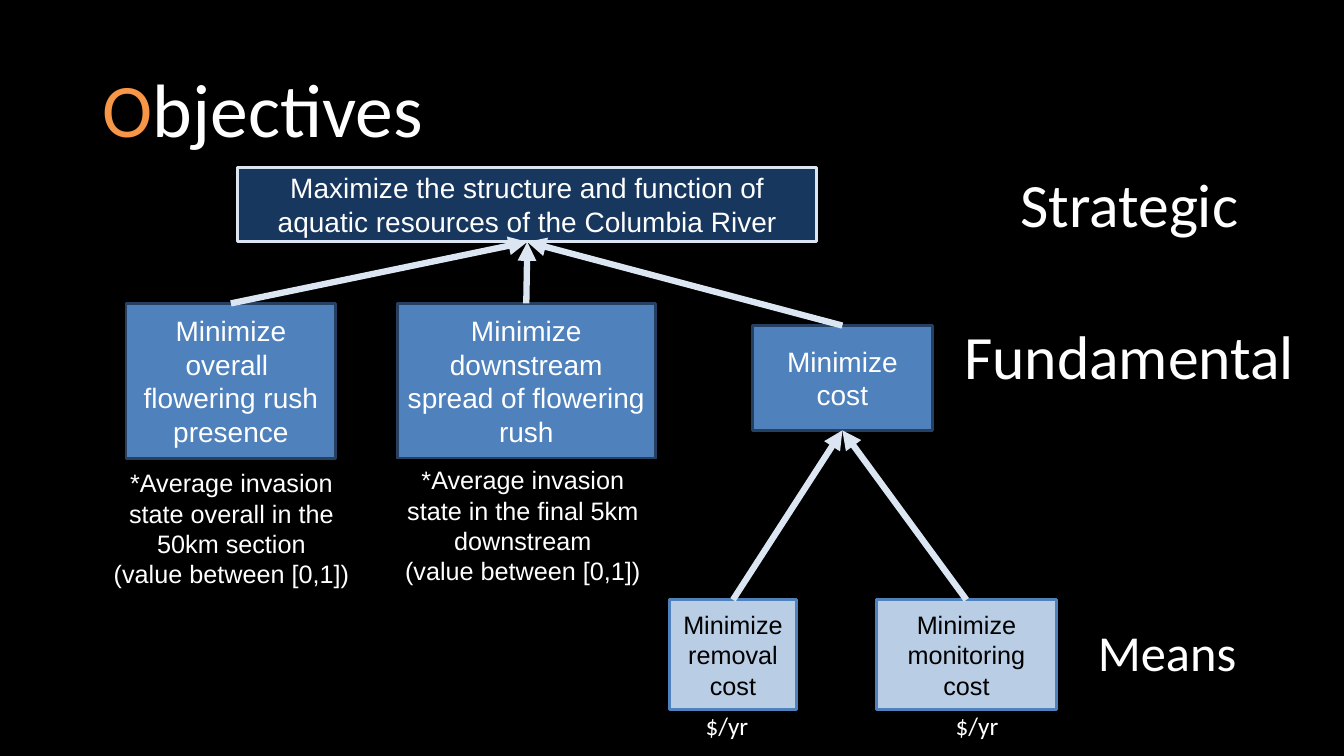
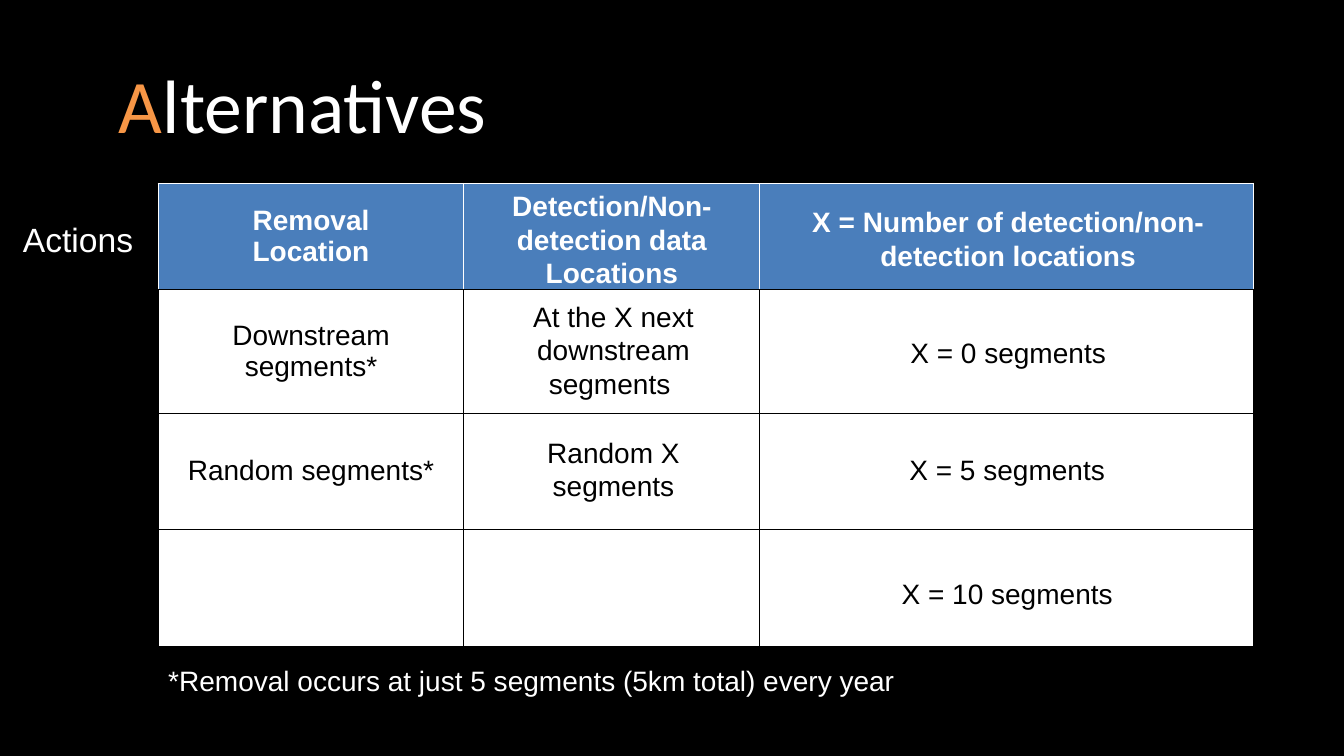
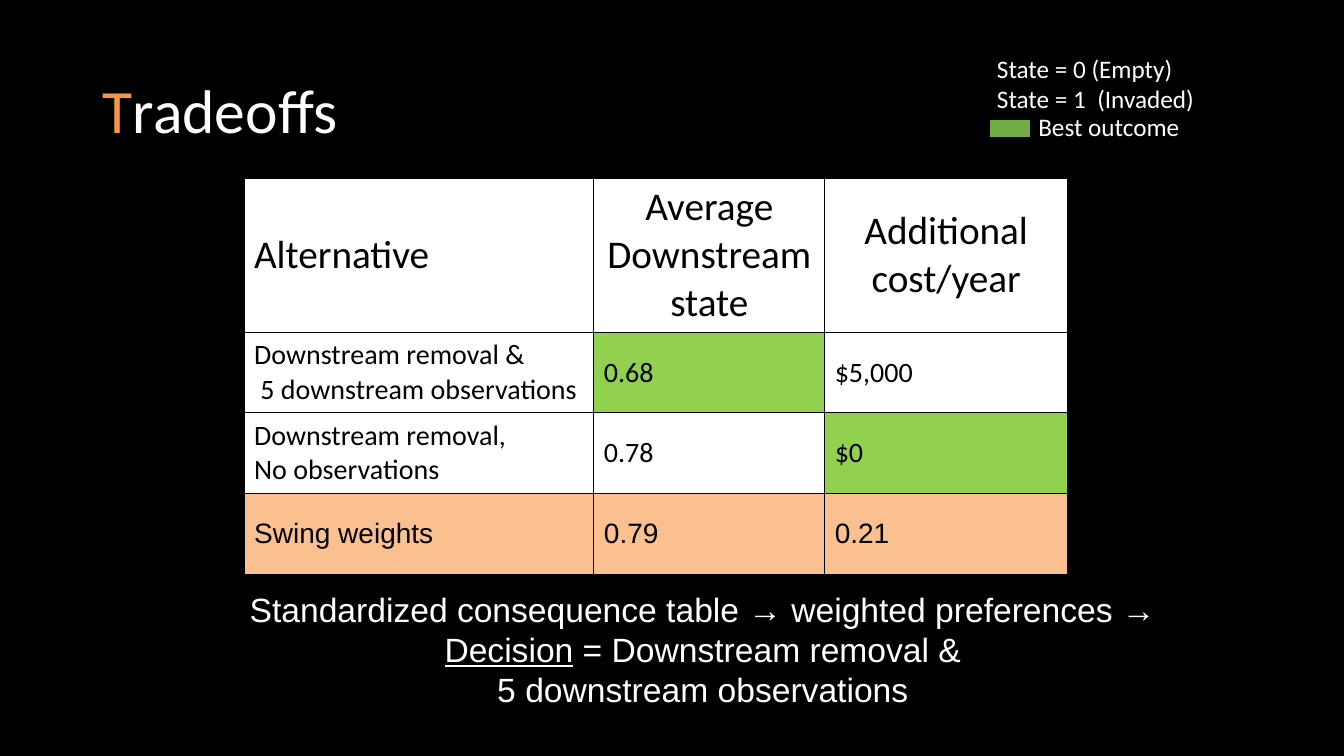
"""Builds three slides on objectives, alternatives and tradeoffs for managing an invasive river plant."""
from lxml import etree
from pptx import Presentation
from pptx.dml.color import RGBColor
from pptx.enum.shapes import MSO_CONNECTOR, MSO_SHAPE
from pptx.enum.text import MSO_ANCHOR, PP_ALIGN
from pptx.oxml.ns import qn
from pptx.util import Inches, Pt

LEFT, CENTER = PP_ALIGN.LEFT, PP_ALIGN.CENTER
TOP, MIDDLE = MSO_ANCHOR.TOP, MSO_ANCHOR.MIDDLE
RECTANGLE, STRAIGHT = MSO_SHAPE.RECTANGLE, MSO_CONNECTOR.STRAIGHT
TITLE_ONLY = 5
TOP_SITE, BOTTOM_SITE = 0, 2

BLACK, WHITE, ORANGE = "000000", "FFFFFF", "F79646"
BLUE, DARK_BLUE, NAVY = "4F81BD", "254061", "17375E"
PALE_BLUE, ICE, HEADER_BLUE = "B9CDE5", "DCE6F2", "4A7EBB"
BEST_GREEN, LEGEND_GREEN, PEACH = "92D050", "70AD47", "FAC090"

STRATEGIC = dict(fill=NAVY, line=ICE, size=20)
FUNDAMENTAL = dict(fill=BLUE, line=DARK_BLUE, size=20)
MEANS = dict(fill=PALE_BLUE, line=BLUE, size=18, color=BLACK)
MEASURE = dict(fill=BLACK, line=BLACK, size=18)

OBJECTIVES = {
    "resources": ((2.36, 1.66, 5.74, 0.74), STRATEGIC,
                  ["Maximize the structure and function of aquatic resources of the Columbia River"]),
    "presence": ((1.25, 3.01, 2.08, 1.54), FUNDAMENTAL, ["Minimize overall  flowering rush presence"]),
    "spread": ((3.94, 3.01, 2.56, 1.54), FUNDAMENTAL, ["Minimize downstream spread of flowering rush"]),
    "cost": ((7.46, 3.23, 1.79, 1.04), FUNDAMENTAL, ["Minimize cost"]),
    "removal": ((6.64, 5.95, 1.26, 1.09), MEANS, ["Minimize removal cost"]),
    "monitoring": ((8.69, 5.95, 1.79, 1.09), MEANS, ["Minimize monitoring cost"]),
    "presence measure": ((0.95, 4.6, 2.69, 1.28), MEASURE,
                         ["*Average invasion state overall in the 50km section", "(value between [0,1])"]),
    "spread measure": ((3.84, 4.57, 2.69, 1.28), MEASURE,
                       ["*Average invasion state in the final 5km downstream", "(value between [0,1])"]),
}
SUPPORTS = [("presence", "resources"), ("spread", "resources"), ("cost", "resources"),
            ("removal", "cost"), ("monitoring", "cost")]
LEVELS = [("Strategic ", (9.76, 1.7, 3.02, 0.72), 44),
          ("Fundamental ", (9.38, 3.21, 3.78, 0.72), 44),
          ("Means", (10.72, 6.14, 1.71, 0.72), 36)]
UNIT_LEFTS = [6.9, 9.38]

ACTION_COLUMNS = [3.03, 2.93, 4.9]
ACTION_ROWS = [
    (1.05, [["Removal", "Location"], [], []]),
    (1.23, [["Downstream segments*"], [], []]),
    (1.15, [["Random segments*"], [], []]),
    (1.16, [[], [], []]),
]
HEADER_TEXT = dict(size=20, bold=True, color=WHITE, align=CENTER)
BODY_TEXT = dict(size=20, color=BLACK, align=CENTER)
ACTION_LABELS = [
    ("Detection/Non-detection data Locations", (4.57, 1.82, 3, 1.11), HEADER_TEXT),
    ("X = Number of detection/non-detection locations", (7.92, 1.98, 4.16, 0.77), HEADER_TEXT),
    ("At the X next downstream segments ", (4.93, 2.92, 2.31, 1.11), BODY_TEXT),
    ("Random X segments", (4.93, 4.27, 2.31, 0.77), BODY_TEXT),
    ("X = 0 segments", (8.23, 3.28, 3.54, 0.44), BODY_TEXT),
    ("X = 5 segments", (8.22, 4.44, 3.54, 0.44), BODY_TEXT),
    ("X = 10 segments", (8.22, 5.67, 3.54, 0.44), BODY_TEXT),
]

TRADEOFF_COLUMNS = [3.47, 2.29, 2.41]
TRADEOFF_ROWS = [
    (1.52, [["Alternative"], ["Average Downstream state"], ["Additional cost/year"]]),
    (0.8, [["Downstream removal &", " 5 downstream observations"], ["0.68"], ["$5,000"]]),
    (0.8, [["Downstream removal,", "No observations"], ["0.78"], ["$0"]]),
    (0.8, [["Swing weights"], ["0.79"], ["0.21"]]),
]
BEST_CELLS = {(1, 1), (2, 2)}
DECISION = [["Standardized consequence table → weighted preferences → ",
             ("Decision", dict(underline=True)), " = Downstream removal &"],
            " 5 downstream observations "]


def rgb(color):
    return RGBColor.from_string(color)


def inches(values):
    return [Inches(value) for value in values]


def write(frame, paragraphs, size=18, font="Arial", color=WHITE, bold=False, align=LEFT, spacing=None):
    """Fill a text frame; a paragraph is a string or a list of strings and (text, changes) pairs."""
    for index, parts in enumerate(paragraphs):
        paragraph = frame.paragraphs[0] if index == 0 else frame.add_paragraph()
        paragraph.alignment = align
        paragraph.line_spacing = spacing
        for part in [parts] if isinstance(parts, str) else parts:
            text, changes = (part, {}) if isinstance(part, str) else part
            run = paragraph.add_run()
            run.text = text
            run.font.name = font
            run.font.size = Pt(size)
            run.font.bold = bold
            run.font.underline = changes.get("underline")
            run.font.color.rgb = rgb(changes.get("color", color))


def add_text(slide, at, paragraphs, anchor=TOP, **text_format):
    frame = slide.shapes.add_textbox(*inches(at)).text_frame
    frame.word_wrap = True
    frame.vertical_anchor = anchor
    write(frame, paragraphs, **text_format)


def add_box(slide, at, paragraphs, fill, line, line_width=2, **text_format):
    shape = slide.shapes.add_shape(RECTANGLE, *inches(at))
    shape.shadow.inherit = False
    shape.fill.solid()
    shape.fill.fore_color.rgb = rgb(fill)
    shape.line.color.rgb = rgb(line)
    shape.line.width = Pt(line_width)
    shape.text_frame.vertical_anchor = MIDDLE
    write(shape.text_frame, paragraphs, align=CENTER, **text_format)
    return shape


def add_arrow(slide, lower, upper):
    arrow = slide.shapes.add_connector(STRAIGHT, 0, 0, 0, 0)
    arrow.begin_connect(lower, TOP_SITE)
    arrow.end_connect(upper, BOTTOM_SITE)
    arrow.line.color.rgb = rgb(ICE)
    arrow.line.width = Pt(4.5)
    etree.SubElement(arrow.line._get_or_add_ln(), qn("a:tailEnd"), type="triangle")
    etree.SubElement(arrow._element.spPr, qn("a:effectLst"))


def set_borders(cell, colors):
    """Draw one-point borders in left, right, top, bottom order."""
    properties = cell._tc.get_or_add_tcPr()
    for index, (side, color) in enumerate(zip("LRTB", colors)):
        border = etree.Element(qn("a:ln" + side), w=str(Pt(1)))
        fill = etree.SubElement(border, qn("a:solidFill"))
        etree.SubElement(fill, qn("a:srgbClr"), val=color)
        properties.insert(index, border)


def add_grid(slide, left, top, columns, rows, cell_style):
    """Add a table; cell_style(row, column) gives fill, borders and text format."""
    heights = [height for height, _ in rows]
    size = inches((left, top, sum(columns), sum(heights)))
    table = slide.shapes.add_table(len(rows), len(columns), *size).table
    table.first_row = table.horz_banding = False
    for column, width in zip(table.columns, columns):
        column.width = Inches(width)
    for row_index, (height, texts) in enumerate(rows):
        table.rows[row_index].height = Inches(height)
        for column_index, paragraphs in enumerate(texts):
            fill, borders, text_format = cell_style(row_index, column_index)
            cell = table.cell(row_index, column_index)
            cell.vertical_anchor = MIDDLE
            cell.fill.solid()
            cell.fill.fore_color.rgb = rgb(fill)
            set_borders(cell, borders)
            write(cell.text_frame, paragraphs, **text_format)


def action_style(row, column):
    if row == 0:
        return HEADER_BLUE, [WHITE, WHITE, WHITE, BLACK], HEADER_TEXT
    return WHITE, [BLACK] * 4, BODY_TEXT


def tradeoff_style(row, column):
    header, weights = row == 0, row == len(TRADEOFF_ROWS) - 1
    fill = PEACH if weights else BEST_GREEN if (row, column) in BEST_CELLS else WHITE
    text_format = dict(size=28 if header else 20, font="Arial" if weights else "Calibri",
                       color=BLACK, align=CENTER if header and column else LEFT)
    return fill, [BLACK] * 4, text_format


def add_slide(presentation, title, at, size=54):
    """Add a title-only slide whose title starts with an orange letter."""
    slide = presentation.slides.add_slide(presentation.slide_layouts[TITLE_ONLY])
    shape = slide.shapes.title
    shape.left, shape.top, shape.width, shape.height = inches(at)
    shape.text_frame.vertical_anchor = MIDDLE
    write(shape.text_frame, [[(title[0], dict(color=ORANGE)), title[1:]]],
          size=size, font="Calibri", spacing=0.9)
    return slide


def build_objectives(presentation):
    slide = add_slide(presentation, "Objectives", (0.92, 0.4, 3.49, 1.45))
    boxes = {name: add_box(slide, at, paragraphs, **style)
             for name, (at, style, paragraphs) in OBJECTIVES.items()}
    for lower, upper in SUPPORTS:
        add_arrow(slide, boxes[lower], boxes[upper])
    for level, at, size in LEVELS:
        add_text(slide, at, [level], anchor=MIDDLE, size=size, font="Calibri", align=CENTER, spacing=0.9)
    for left in UNIT_LEFTS:
        add_text(slide, (left, 7, 0.78, 0.4), ["$/yr"], font="Calibri")


def build_alternatives(presentation):
    slide = add_slide(presentation, "Alternatives", (1.08, 0.36, 11.5, 1.45))
    add_grid(slide, 1.57, 1.82, ACTION_COLUMNS, ACTION_ROWS, action_style)
    for label, at, text_format in ACTION_LABELS:
        add_text(slide, at, [label], **text_format)
    add_text(slide, (0.13, 2.12, 1.36, 0.5), ["Actions"], size=24)
    add_text(slide, (1.57, 6.53, 9.94, 0.44),
             ["*Removal occurs at just 5 segments (5km total) every year"], size=20)


def build_tradeoffs(presentation):
    slide = add_slide(presentation, "Tradeoffs", (0.92, 0.4, 11.5, 1.45), size=44)
    add_grid(slide, 2.42, 1.77, TRADEOFF_COLUMNS, TRADEOFF_ROWS, tradeoff_style)
    add_text(slide, (9.79, 0.48, 2.23, 0.71), ["State = 0 (Empty)", "State = 1  (Invaded)"], font="Calibri")
    add_box(slide, (9.81, 1.18, 0.41, 0.19), [], LEGEND_GREEN, BLACK, line_width=1)
    add_text(slide, (10.2, 1.06, 1.73, 0.4), ["Best outcome"], font="Calibri")
    add_text(slide, (2.13, 5.79, 9.68, 1.31), DECISION, size=24, align=CENTER)


def main():
    presentation = Presentation()
    presentation.slide_width, presentation.slide_height = inches((13.33, 7.5))
    background = presentation.slide_master.background.fill
    background.solid()
    background.fore_color.rgb = rgb(BLACK)
    build_objectives(presentation)
    build_alternatives(presentation)
    build_tradeoffs(presentation)
    presentation.save("out.pptx")


if __name__ == "__main__":
    main()
